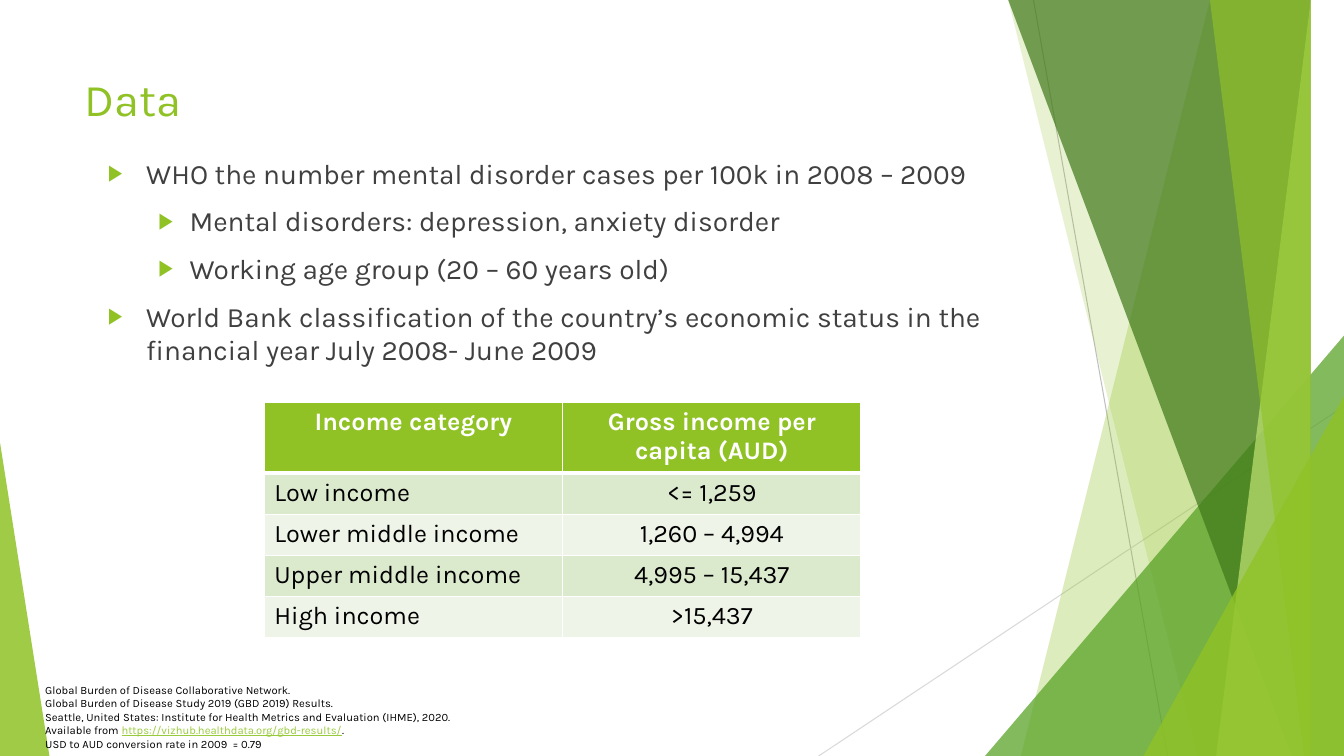
import pptx
import pptx.dml.color
import pptx.enum.shapes
import pptx.enum.text
import pptx.oxml
import pptx.oxml.ns
import pptx.util
from pptx.util import Inches

FONT = "Karla"
COLOURS = {
    "lime": "90C226", "pale lime": "C0E474", "green": "54A021", "dark green": "3F7819",
    "text": "404040", "black": "000000", "white": "FFFFFF", "link": "99CA3C",
    "grey": "BFBFBF", "light grey": "D9D9D9", "odd row": "DBE9CD", "even row": "EEF4E8",
}

# Content
TITLE = "Data"
BULLETS = [
    (0, "WHO the number mental disorder cases per 100k in 2008 – 2009"),
    (1, "Mental disorders: depression, anxiety disorder"),
    (1, "Working age group (20 – 60 years old)"),
    (0, "World Bank classification of the country’s economic status in the "
        "financial year July 2008- June 2009"),
]
INCOME_ROWS = [
    ("Income category", "Gross income per capita (AUD)"),
    ("Low income", "<= 1,259"),
    ("Lower middle income", "1,260 – 4,994"),
    ("Upper middle income", "4,995 – 15,437"),
    ("High income", ">15,437"),
]
LINK = "https://vizhub.healthdata.org/gbd-results/"
SOURCES = [
    ["Global Burden of Disease Collaborative Network."],
    ["Global Burden of Disease Study 2019 (GBD 2019) Results."],
    ["Seattle, United States: Institute for Health Metrics and Evaluation (IHME), 2020."],
    ["Available from ", LINK, "."],
    ["USD to AUD conversion rate in 2009  = 0.79"],
]

# Decoration, back to front
WIDTH, HEIGHT, TOP = 13.33, 7.5, -0.01
RAYS = [
    ((10.25, 0), (11.58, HEIGHT), "grey"),
    ((WIDTH, 4.03), (8.12, HEIGHT), "light grey"),
]
# A band has its left edge's top and bottom x; a triangle has its box and apex
FACETS = [
    ("band", (12.28, 10.04), "lime", 30),
    ("band", (10.5, 11.83), "lime", 20),
    ("triangle", (9.77, 3.33, 3.56, 4.17, 1), "green", 72),
    ("band", (10.21, 12.91), "dark green", 70),
    ("band", (13.03, 11.92), "pale lime", 70),
    ("band", (11.96, 13.18), "lime", 65),
    ("triangle", (11.34, 3.93, 1.99, 3.57, 1), "lime", 80),
    ("triangle", (0, 4.39, 0.49, 3.11, 0), "lime", 85),
]


def rgb(name):
    return pptx.dml.color.RGBColor.from_string(COLOURS[name])


def xml(body):
    tag, rest = body[1:].split(" ", 1)
    return pptx.oxml.parse_xml(f"<{tag} {pptx.oxml.ns.nsdecls('a')} {rest}")


def style(span, size, colour, bold=False):
    span.font.name = FONT
    span.font.size = pptx.util.Pt(size)
    span.font.bold = bold
    span.font.color.rgb = rgb(colour)


def place(box, left, top, width, height):
    box.left, box.top = Inches(left), Inches(top)
    box.width, box.height = Inches(width), Inches(height)


def draw_decoration(page):
    for start, end, colour in RAYS:
        ray = page.shapes.add_connector(
            pptx.enum.shapes.MSO_CONNECTOR.STRAIGHT, *map(Inches, start + end))
        ray.line.color.rgb = rgb(colour)
        ray.line.width = pptx.util.Pt(0.75)
        ray.element.spPr.append(xml("<a:effectLst />"))
    for kind, geometry, colour, opacity in FACETS:
        if kind == "band":
            top_x, bottom_x = geometry
            outline = page.shapes.build_freeform(top_x, TOP, scale=Inches(1))
            outline.add_line_segments([(WIDTH, TOP), (WIDTH, HEIGHT), (bottom_x, HEIGHT)])
            facet = outline.convert_to_shape()
        else:
            *bounds, apex = geometry
            facet = page.shapes.add_shape(
                pptx.enum.shapes.MSO_SHAPE.ISOSCELES_TRIANGLE, *map(Inches, bounds))
            facet.adjustments[0] = apex
        facet.shadow.inherit = False
        facet.line.fill.background()
        facet.fill.solid()
        facet.fill.fore_color.rgb = rgb(colour)
        fill_colour = facet.element.spPr.xpath("a:solidFill/a:srgbClr")[0]
        fill_colour.append(xml(f'<a:alpha val="{opacity * 1000}"/>'))


def fill_title(title):
    place(title, 0.74, 0.67, 9.4, 0.61)
    title.text_frame.text = TITLE
    title.text_frame.auto_size = pptx.enum.text.MSO_AUTO_SIZE.NONE
    title.text_frame.vertical_anchor = pptx.enum.text.MSO_ANCHOR.MIDDLE
    para = title.text_frame.paragraphs[0]
    para.alignment = pptx.enum.text.PP_ALIGN.LEFT
    style(para.runs[0], 32.4, "lime")


def fill_bullets(body):
    place(body, 0.97, 1.5, 9.8, 2.36)
    frame = body.text_frame
    frame.text = "\n".join(text for _, text in BULLETS)
    frame.auto_size = pptx.enum.text.MSO_AUTO_SIZE.NONE
    frame.vertical_anchor = pptx.enum.text.MSO_ANCHOR.TOP
    for para, (level, _) in zip(frame.paragraphs, BULLETS):
        para.level = level
        para.space_before = pptx.util.Pt(10)
        margin, hanging = [(0.38, 0.38), (0.81, 0.31)][level]
        props = para._p.get_or_add_pPr()
        props.set("marL", str(Inches(margin)))
        props.set("indent", str(-Inches(hanging)))
        props.append(xml(f'<a:buClr ><a:srgbClr val="{COLOURS["lime"]}"/></a:buClr>'))
        props.append(xml('<a:buSzPct val="80000"/>'))
        props.append(xml('<a:buChar char="▶"/>'))
        style(para.runs[0], 20, "text")


def add_sources(page):
    box = page.shapes.add_textbox(*map(Inches, (0.35, 6.73, 9.8, 0.77)))
    frame = box.text_frame
    frame.word_wrap = True
    for index, parts in enumerate(SOURCES):
        para = frame.add_paragraph() if index else frame.paragraphs[0]
        for part in parts:
            span = para.add_run()
            span.text = part
            style(span, 8, "link" if part == LINK else "black")
            if part == LINK:
                span.font.underline = True


def add_income_table(page):
    frame = page.shapes.add_table(
        len(INCOME_ROWS), 2, *map(Inches, (2.62, 3.99, 5.92, 2.32)))
    table = frame.table
    for row, values in enumerate(INCOME_ROWS):
        header = row == 0
        table.rows[row].height = Inches(0.68 if header else 0.41)
        for column, value in enumerate(values):
            cell = table.cell(row, column)
            cell.text_frame.text = value
            para = cell.text_frame.paragraphs[0]
            if header or column == 1:
                para.alignment = pptx.enum.text.PP_ALIGN.CENTER
            style(para.runs[0], 18, "white" if header else "black", bold=header)
            cell.fill.solid()
            cell.fill.fore_color.rgb = rgb(
                "lime" if header else "odd row" if row % 2 else "even row")
            # White borders, thicker between header and body
            widths = {"L": 1, "R": 1, "T": 3 if row == 1 else 1, "B": 3 if header else 1}
            for order, (side, width) in enumerate(widths.items()):
                cell._tc.get_or_add_tcPr().insert(order, xml(
                    f'<a:ln{side} w="{pptx.util.Pt(width)}"><a:solidFill>'
                    f'<a:srgbClr val="{COLOURS["white"]}"/></a:solidFill></a:ln{side}>'))


def main():
    deck = pptx.Presentation()
    deck.slide_width, deck.slide_height = Inches(WIDTH), Inches(HEIGHT)
    page = deck.slides.add_slide(deck.slide_layouts[1])
    title, body = page.placeholders
    draw_decoration(page)
    # Bring the text in front of the decoration
    for box in (title, body):
        box.element.getparent().append(box.element)
    fill_title(title)
    fill_bullets(body)
    add_sources(page)
    add_income_table(page)
    deck.save("out.pptx")


if __name__ == "__main__":
    main()
